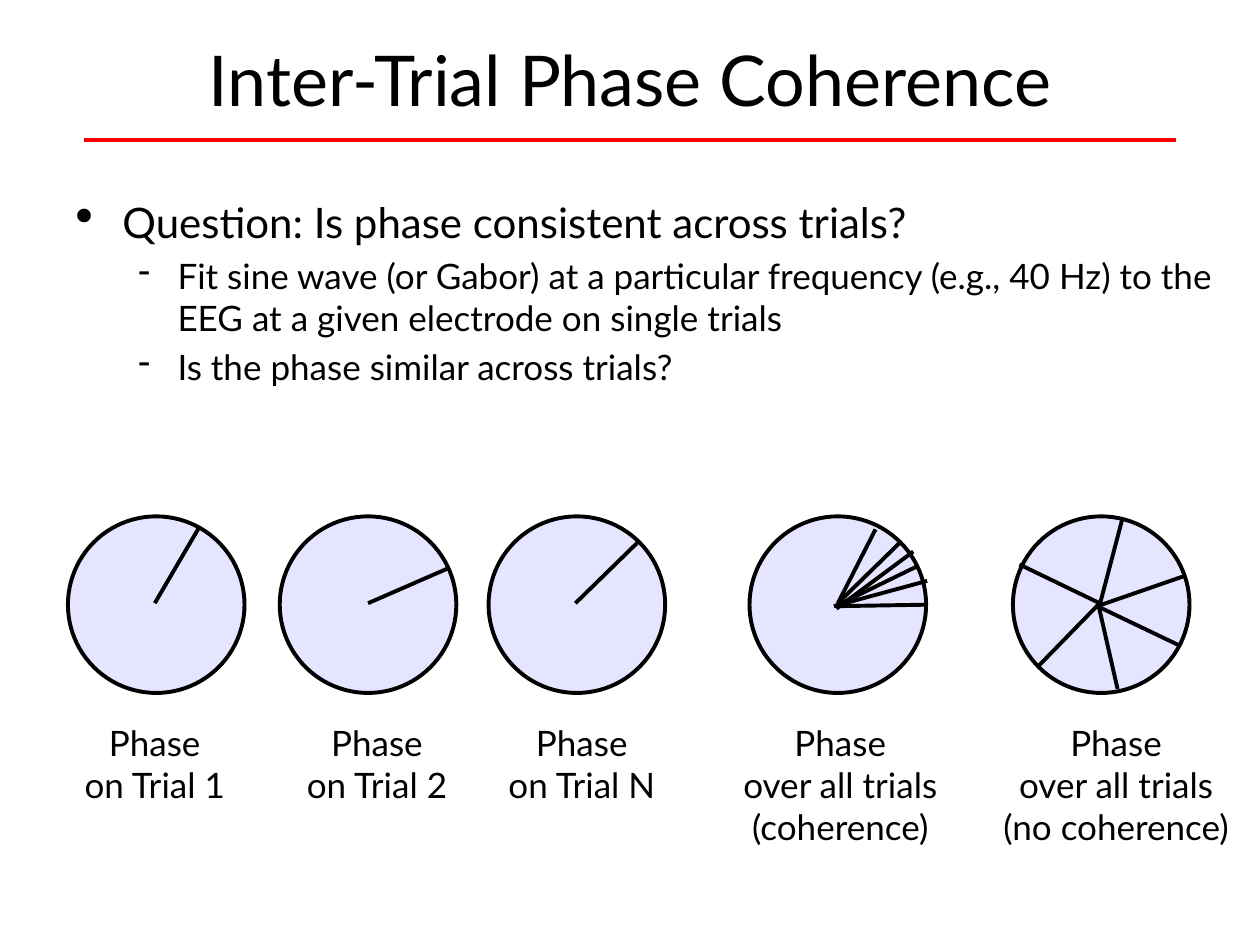
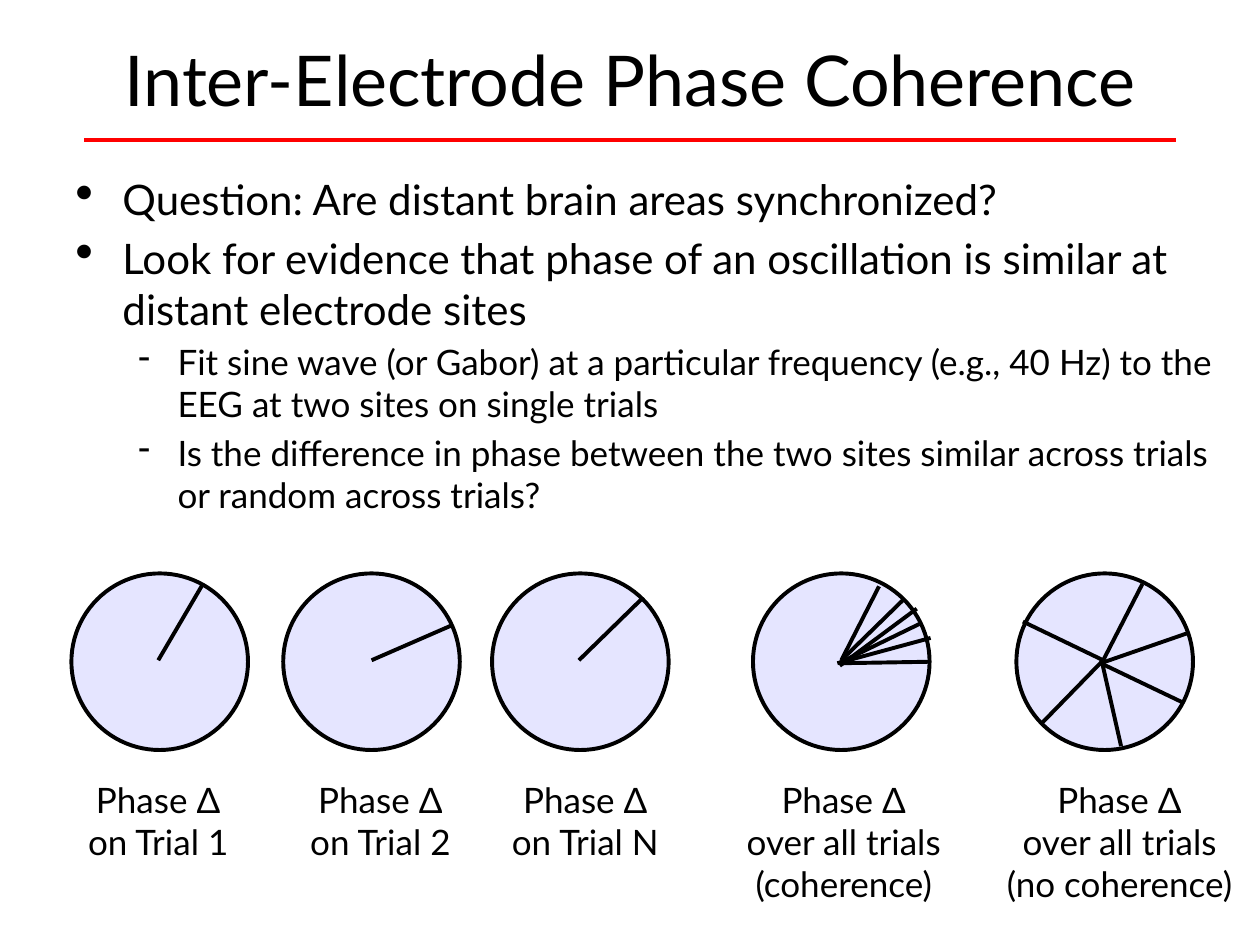
from dataclasses import dataclass

from pptx import Presentation
from pptx import util as u
from pptx.dml.color import RGBColor
from pptx.enum import shapes, text
from pptx.oxml.ns import qn
from lxml import etree


@dataclass(frozen=True)
class Theme:
    font: str = "Lato"
    ink: RGBColor = RGBColor(0, 0, 0)
    rule: RGBColor = RGBColor(0xFF, 0, 0)
    dial: RGBColor = RGBColor(0xE5, 0xE5, 0xFF)
    title_size: int = 40
    question_size: int = 24
    small_size: int = 20
    line_width: float = 2.25


THEME = Theme()
DIAL_SIZE = 3.56
LABEL_DROP = 2.22

# Each hand is tip x, tip y, tail x, tail y, measured from the dial centre.
TRIAL_1 = [(0.86, -1.55, -0.03, -0.03)]
TRIAL_2 = [(1.63, -0.74, 0, -0.03)]
TRIAL_N = [(1.24, -1.27, -0.03, -0.03)]
COHERENT = [
    (1.27, -1.27, 0, -0.03),
    (1.57, -0.76, -0.05, 0.03),
    (0.76, -1.52, 0, -0.03),
    (1.78, 0, -0.03, 0.03),
    (1.8, -0.48, -0.08, 0.03),
    (1.52, -1.07, -0.03, 0.08),
]
SCATTERED = [
    (-1.27, 1.24, -0.03, -0.03),
    (1.55, 0.81, -0.08, 0.03),
    (-1.65, -0.81, -0.03, -0.03),
    (0.33, 1.7, -0.05, 0.03),
    (1.68, -0.58, -0.08, 0.03),
]

# Dial centre, label offset, label width, label lines, hands.
DIALS = [
    (3.15, -0.03, 3.76, ["on Trial 1"], TRIAL_1),
    (7.42, 0.18, 3.76, ["on Trial 2"], TRIAL_2),
    (11.63, 0.1, 3.76, ["on Trial N"], TRIAL_N),
    (16.89, 0.05, 4.93, ["over all trials", "(coherence)"], COHERENT),
    (22.2, 0.3, 5.79, ["over all trials", "(no coherence)"], SCATTERED),
]


def style(paragraph, size):
    paragraph.font.name = THEME.font
    paragraph.font.size = u.Pt(size)
    paragraph.font.color.rgb = THEME.ink


def add_box(page, left, top, width, height, wrap=True):
    box = page.shapes.add_textbox(u.Cm(left), u.Cm(top), u.Cm(width), u.Cm(height))
    box.text_frame.word_wrap = wrap
    return box.text_frame


def add_centred(frame, lines, size):
    frame.text = "\n".join(lines)
    for paragraph in frame.paragraphs:
        paragraph.alignment = text.PP_ALIGN.CENTER
        style(paragraph, size)


def add_line(page, start, end, color):
    line = page.shapes.add_connector(
        shapes.MSO_CONNECTOR.STRAIGHT, *(u.Cm(value) for value in (*start, *end))
    )
    line.line.color.rgb = color
    line.line.width = u.Pt(THEME.line_width)
    etree.SubElement(line._element.spPr, qn("a:effectLst"))


def add_title(page, title):
    frame = add_box(page, 1.27, 0, 22.86, 3.18)
    frame.vertical_anchor = text.MSO_ANCHOR.MIDDLE
    add_centred(frame, [title], THEME.title_size)
    add_line(page, (23.7, 2.82), (1.7, 2.82), THEME.rule)


def set_bullet(paragraph, symbol, margin, hanging, percent):
    properties = paragraph._p.get_or_add_pPr()
    properties.set("marL", str(u.Cm(margin)))
    properties.set("indent", str(-u.Cm(hanging)))
    etree.SubElement(properties, qn("a:buSzPct"), val=str(percent * 1000))
    etree.SubElement(properties, qn("a:buChar"), char=symbol)


def add_points(page, top, points):
    frame = add_box(page, 1.27, top, 23.52, 8.26)
    for index, (level, words) in enumerate(points):
        paragraph = frame.paragraphs[0] if index == 0 else frame.add_paragraph()
        paragraph.text = words
        paragraph.level = level
        size = THEME.small_size if level else THEME.question_size
        if index:
            paragraph.space_before = u.Pt(size * 0.2)
        if level:
            set_bullet(paragraph, "-", 2.06, 0.79, 100)
        else:
            set_bullet(paragraph, "•", 0.95, 0.95, 125)
        style(paragraph, size)


def add_dial(page, x, y, hands):
    corner = DIAL_SIZE / 2
    dial = page.shapes.add_shape(
        shapes.MSO_SHAPE.OVAL,
        u.Cm(x - corner), u.Cm(y - corner), u.Cm(DIAL_SIZE), u.Cm(DIAL_SIZE),
    )
    dial.shadow.inherit = False
    dial.fill.solid()
    dial.fill.fore_color.rgb = THEME.dial
    dial.line.color.rgb = THEME.ink
    dial.line.width = u.Pt(THEME.line_width)
    for tip_x, tip_y, tail_x, tail_y in hands:
        add_line(page, (x + tip_x, y + tip_y), (x + tail_x, y + tail_y), THEME.ink)


def add_dial_row(page, shift, y, heading, last_hand):
    for x, offset, width, lines, hands in DIALS:
        centre = x + shift
        extra = [last_hand] if hands is SCATTERED else []
        add_dial(page, centre, y, hands + extra)
        label = add_box(
            page, centre + offset - width / 2, y + LABEL_DROP,
            width, 1.1 + 0.86 * len(lines), wrap=False,
        )
        add_centred(label, [heading, *lines], THEME.small_size)


def add_page(deck, title, points_top, points):
    page = deck.slides.add_slide(deck.slide_layouts[6])
    add_title(page, title)
    add_points(page, points_top, points)
    return page


def main():
    deck = Presentation()
    deck.slide_width, deck.slide_height = u.Cm(25.4), u.Cm(19.05)

    trials = add_page(deck, "Inter-Trial Phase Coherence", 3.84, [
        (0, "Question: Is phase consistent across trials?"),
        (1, "Fit sine wave (or Gabor) at a particular frequency (e.g., 40 Hz) "
            "to the EEG at a given electrode on single trials"),
        (1, "Is the phase similar across trials?"),
    ])
    add_dial_row(trials, 0, 12.19, "Phase", (0.43, -1.75, -0.05, 0.08))

    electrodes = add_page(deck, "Inter-Electrode Phase Coherence", 3.38, [
        (0, "Question: Are distant brain areas synchronized?"),
        (0, "Look for evidence that phase of an oscillation is similar at "
            "distant electrode sites"),
        (1, "Fit sine wave (or Gabor) at a particular frequency (e.g., 40 Hz) "
            "to the EEG at two sites on single trials"),
        (1, "Is the difference in phase between the two sites similar across "
            "trials or random across trials?"),
    ])
    add_dial_row(electrodes, 0.07, 13.34, "Phase Δ", (0.76, -1.57, -0.03, -0.03))

    deck.save("out.pptx")


if __name__ == "__main__":
    main()
